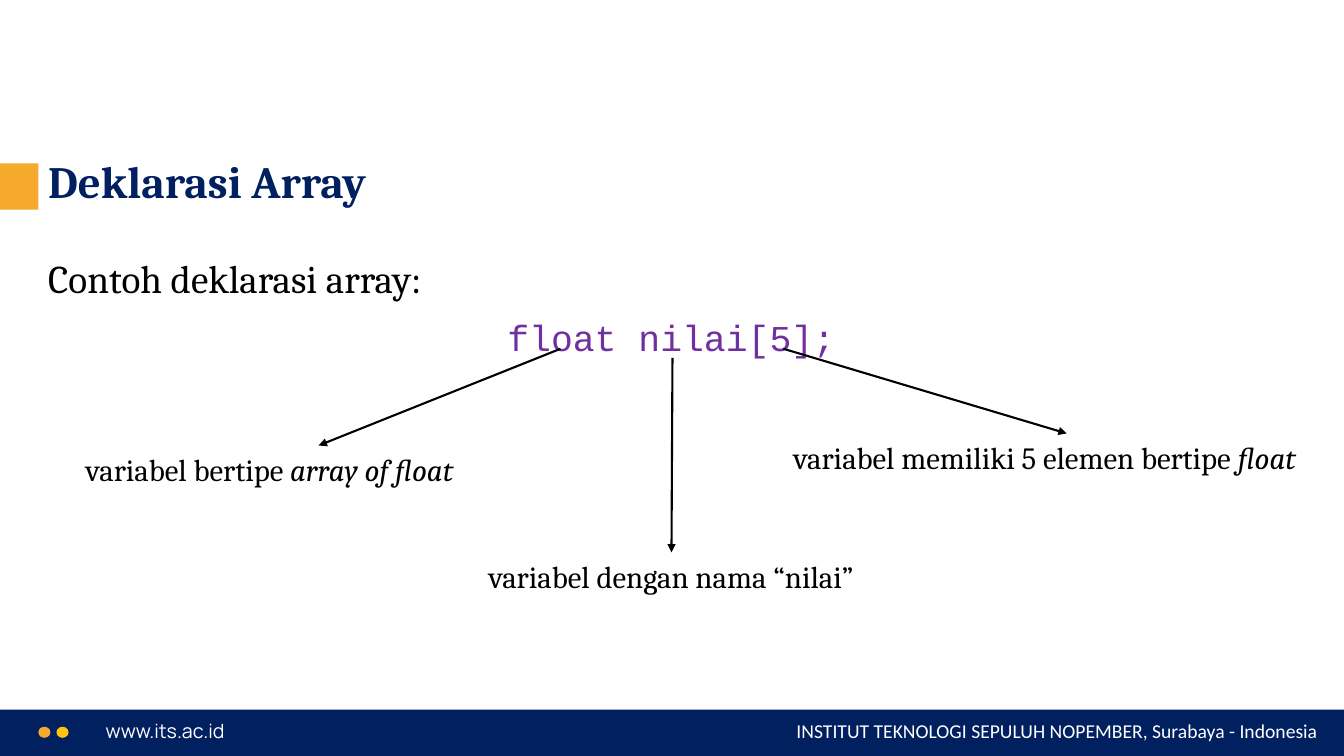
from dataclasses import dataclass

from lxml import etree
from pptx import Presentation
from pptx.dml.color import RGBColor
from pptx.enum.shapes import MSO_CONNECTOR, MSO_SHAPE
from pptx.enum.text import MSO_ANCHOR, PP_ALIGN
from pptx.oxml.ns import qn
from pptx.util import Inches, Pt

RECT, OVAL = MSO_SHAPE.RECTANGLE, MSO_SHAPE.OVAL
STRAIGHT = MSO_CONNECTOR.STRAIGHT
LEFT, CENTER, RIGHT = PP_ALIGN.LEFT, PP_ALIGN.CENTER, PP_ALIGN.RIGHT
TOP, MIDDLE = MSO_ANCHOR.TOP, MSO_ANCHOR.MIDDLE

NAVY, ORANGE, YELLOW = "002060", "F5AA2D", "FFC411"
WHITE, BLACK, PURPLE = "FFFFFF", "000000", "7030A0"

Box = tuple[float, float, float, float]
Point = tuple[float, float]


@dataclass
class Block:
    kind: MSO_SHAPE
    box: Box
    color: str


@dataclass
class Para:
    text: str
    font: dict
    color: str = BLACK
    italic_end: str = ""
    align: PP_ALIGN = LEFT
    format: dict | None = None


@dataclass
class Text:
    box: Box
    paras: list[Para]
    anchor: MSO_ANCHOR = TOP


@dataclass
class Arrow:
    start: Point
    end: Point


def rgb(color: str) -> RGBColor:
    return RGBColor.from_string(color)


def draw_block(s, block: Block) -> None:
    sp = s.shapes.add_shape(block.kind, *map(Inches, block.box))
    sp.shadow.inherit = False
    sp.fill.solid()
    sp.fill.fore_color.rgb = rgb(block.color)
    sp.line.fill.background()


def draw_text(s, text: Text) -> None:
    tf = s.shapes.add_textbox(*map(Inches, text.box)).text_frame
    tf.word_wrap = True
    tf.vertical_anchor = text.anchor
    for i, para in enumerate(text.paras):
        p = tf.add_paragraph() if i else tf.paragraphs[0]
        p.alignment = para.align
        for name, value in (para.format or {}).items():
            setattr(p, name, value)
        for words, italic in ((para.text, False), (para.italic_end, True)):
            if words:
                r = p.add_run()
                r.text = words
                for name, value in {**para.font, "italic": italic}.items():
                    setattr(r.font, name, value)
                r.font.color.rgb = rgb(para.color)


def draw_arrow(s, arrow: Arrow) -> None:
    cxn = s.shapes.add_connector(STRAIGHT, *map(Inches, arrow.start + arrow.end))
    cxn.line.color.rgb = rgb(BLACK)
    cxn.line.width = Pt(1.5)
    etree.SubElement(cxn.line._get_or_add_ln(), qn("a:tailEnd"), type="triangle")
    etree.SubElement(cxn._element.spPr, qn("a:effectLst"))


TITLE = {"name": "Cambria", "size": Pt(32), "bold": True}
BODY = {"name": "Cambria", "size": Pt(28)}
CODE = {"name": "Courier New", "size": Pt(26)}
LABEL = {"name": "Cambria", "size": Pt(22)}
SITE = {"name": "Manrope", "size": Pt(14)}
SCHOOL = {"name": "Calibri", "size": Pt(14)}

BLOCKS = [
    Block(RECT, (0, 7.04, 13.33, 0.46), NAVY),
    Block(OVAL, (0.38, 7.21, 0.12, 0.11), ORANGE),
    Block(OVAL, (0.56, 7.21, 0.12, 0.11), YELLOW),
    Block(RECT, (0, 1.62, 0.38, 0.46), ORANGE),
]
TEXTS = [
    Text((0.95, 7.08, 4.28, 0.34), [Para("www.its.ac.id", SITE, WHITE)]),
    Text((5.91, 7.08, 7.26, 0.34), [
        Para("INSTITUT TEKNOLOGI SEPULUH NOPEMBER, Surabaya - Indonesia",
             SCHOOL, WHITE, align=RIGHT)]),
    Text((0.38, 1.4, 12.56, 0.85), [
        Para("Deklarasi Array", TITLE, NAVY, format={"line_spacing": 0.9})], MIDDLE),
    Text((0.38, 2.47, 12.56, 1.28), [
        Para("Contoh deklarasi array:", BODY),
        Para("float nilai[5];", CODE, PURPLE, align=CENTER,
             format={"space_before": Pt(10)})]),
    Text((0.75, 4.42, 4.81, 0.47), [
        Para("variabel bertipe ", LABEL, italic_end="array of float")]),
    Text((4.25, 5.48, 4.81, 0.47), [
        Para("variabel dengan nama “nilai”", LABEL, align=CENTER)]),
    Text((7.77, 4.3, 5.56, 0.47), [
        Para("variabel memiliki 5 elemen bertipe ", LABEL, italic_end="float")]),
]
ARROWS = [
    Arrow((5.56, 3.46), (3.16, 4.42)),
    Arrow((6.67, 3.55), (6.66, 5.48)),
    Arrow((7.77, 3.46), (10.58, 4.3)),
]


def main() -> None:
    prs = Presentation()
    prs.slide_width, prs.slide_height = Inches(13.33), Inches(7.5)
    s = prs.slides.add_slide(prs.slide_layouts[6])
    for block in BLOCKS:
        draw_block(s, block)
    for text in TEXTS:
        draw_text(s, text)
    for arrow in ARROWS:
        draw_arrow(s, arrow)
    prs.save("out.pptx")


if __name__ == "__main__":
    main()
